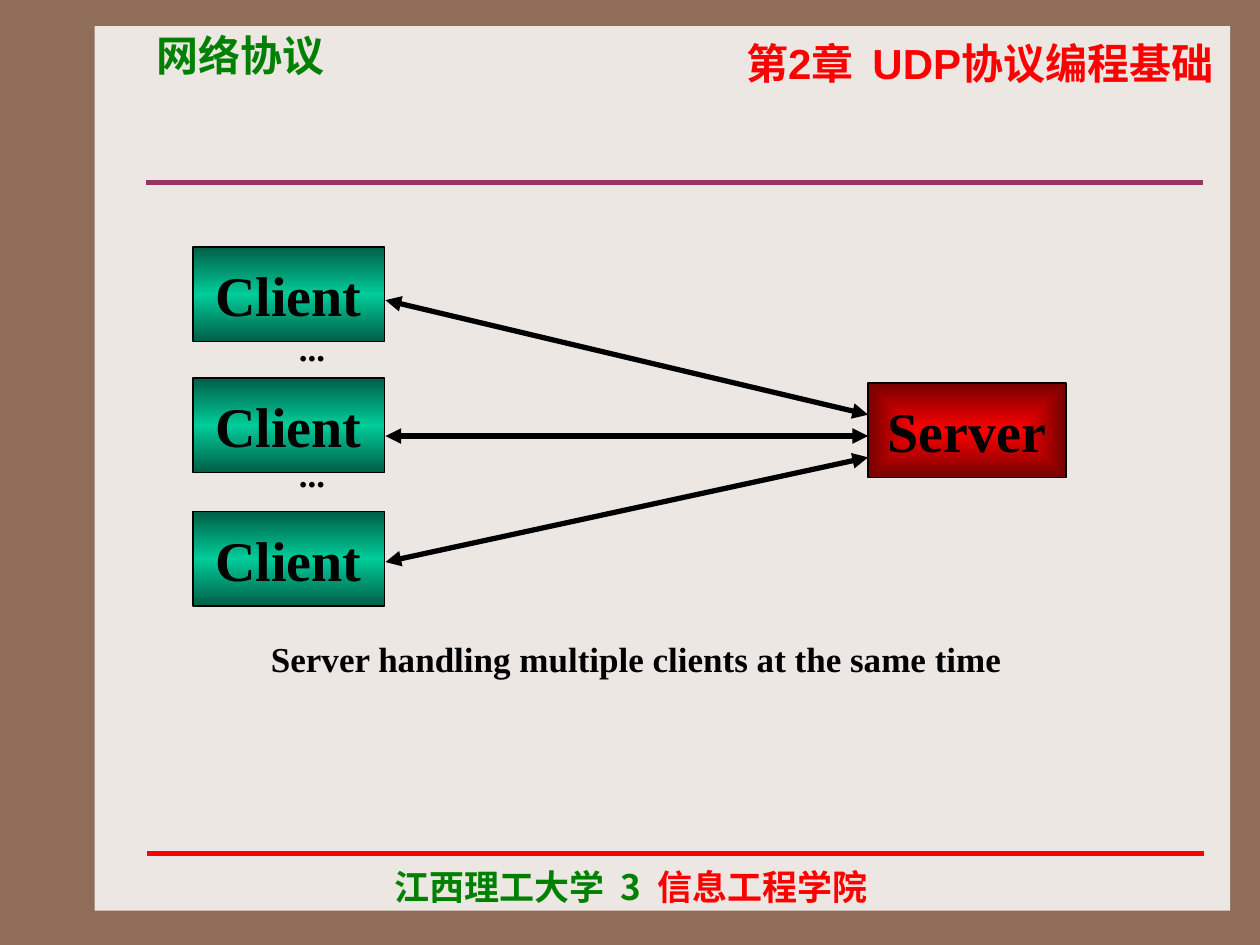
from collections import namedtuple
from dataclasses import dataclass

from pptx import Presentation
from pptx import util as u
from pptx.dml.color import RGBColor
from pptx.enum import shapes, text
from pptx.oxml import parse_xml
from pptx.oxml.ns import nsdecls, qn

Box = namedtuple("Box", "left top width height")


@dataclass(frozen=True)
class Theme:
    backdrop: str = "906D58"
    panel: str = "EDE7E3"
    green: str = "008000"
    red: str = "FF0000"
    plum: str = "993366"
    ink: str = "000000"
    client_edge: str = "005E46"
    client_core: str = "00CC99"
    server_edge: str = "750000"
    latin: str = "Arial"
    chinese: str = "Noto Sans CJK SC"
    serif: str = "Times New Roman"
    heading: int = 24
    node: int = 32
    label: int = 20
    rule: int = 3
    outline: float = 0.75


THEME = Theme()
PANEL = Box(1.91, 0.53, 22.89, 17.83)
DIAGRAM = Box(3.89, 4.98, 17.6, 7.24)


def rgb(value):
    return RGBColor.from_string(value)


def inside(region, left, top, width, height):
    return [u.Cm(v) for v in (region.left + left, region.top + top, width, height)]


def write(shape, spans, size, font, align=text.PP_ALIGN.LEFT, before=0):
    para = shape.text_frame.paragraphs[0]
    para.alignment = align
    para.space_before = u.Pt(before)
    para.font.size = u.Pt(size)
    para.font.name = font
    para.font.bold = True
    for words, color in spans:
        span = para.add_run()
        span.text = words
        span.font.color.rgb = rgb(color)
        span._r.get_or_add_rPr().append(
            parse_xml(f'<a:ea {nsdecls("a")} typeface="{THEME.chinese}"/>'))


def add_label(page, place, spans, size, font, **layout):
    label = page.shapes.add_textbox(*place)
    label.text_frame.word_wrap = True
    write(label, spans, size, font, **layout)


def add_line(page, region, start, end, color, arrows=False):
    x1, y1, x2, y2 = [u.Cm(v) for v in (
        region.left + start[0], region.top + start[1],
        region.left + end[0], region.top + end[1])]
    line = page.shapes.add_connector(shapes.MSO_CONNECTOR.STRAIGHT, x1, y1, x2, y2)
    line.line.color.rgb = rgb(color)
    line.line.width = u.Pt(THEME.rule)
    if arrows:
        for end_name in ("headEnd", "tailEnd"):
            line.line._get_or_add_ln().append(
                parse_xml(f'<a:{end_name} {nsdecls("a")} type="triangle"/>'))
    line._element.spPr.append(parse_xml(f'<a:effectLst {nsdecls("a")}/>'))


def add_node(page, place, name, stops, direction):
    node = page.shapes.add_shape(shapes.MSO_SHAPE.RECTANGLE, *place)
    node.shadow.inherit = False
    node.line.color.rgb = rgb(THEME.ink)
    node.line.width = u.Pt(THEME.outline)
    node.fill.background()
    colors = "".join(f'<a:gs pos="{pos * 1000}"><a:srgbClr val="{color}"/></a:gs>'
                     for pos, color in stops)
    gradient = parse_xml(f'<a:gradFill {nsdecls("a")} rotWithShape="1">'
                         f'<a:gsLst>{colors}</a:gsLst>{direction}</a:gradFill>')
    properties = node._element.spPr
    properties.replace(properties.find(qn("a:noFill")), gradient)
    node.text_frame.word_wrap = False
    node.text_frame.vertical_anchor = text.MSO_ANCHOR.MIDDLE
    write(node, [(name, THEME.ink)], THEME.node, THEME.serif, text.PP_ALIGN.CENTER)


def add_frame(page, region):
    page.background.fill.solid()
    page.background.fill.fore_color.rgb = rgb(THEME.backdrop)
    panel = page.shapes.add_shape(shapes.MSO_SHAPE.RECTANGLE, *inside(region, 0, 0, *region[2:]))
    panel.shadow.inherit = False
    panel.fill.solid()
    panel.fill.fore_color.rgb = rgb(THEME.panel)
    panel.line.fill.background()
    page.shapes._spTree.insert(2, panel._element)


def add_header(page, region):
    title = page.shapes.title
    title.left, title.top, title.width, title.height = inside(region, 10.99, 0.1, 11.81, 1.27)
    title.text_frame.auto_size = text.MSO_AUTO_SIZE.NONE
    title.text_frame.vertical_anchor = text.MSO_ANCHOR.TOP
    write(title, [("第2章  UDP协议编程基础", THEME.red)], THEME.heading, THEME.latin,
          text.PP_ALIGN.RIGHT)
    add_label(page, inside(region, 0.99, -0.05, 6.6, 1.27), [("网络协议", THEME.green)],
              THEME.heading, THEME.latin)
    add_line(page, region, (1.04, 3.15), (22.35, 3.15), THEME.plum)


def add_footer(page, region):
    add_line(page, region, (1.06, 16.67), (22.37, 16.67), THEME.red)
    add_label(page, inside(region, 5.79, 16.79, 11.2, 2.13),
              [("江西理工大学  3  ", THEME.green), ("信息工程学院", THEME.red)],
              THEME.label, THEME.chinese)


def add_diagram(page, region):
    client_stops = [(0, THEME.client_edge), (50, THEME.client_core), (100, THEME.client_edge)]
    for top in (0, 2.64, 5.33):
        add_node(page, inside(region, 0, top, 3.86, 1.91), "Client", client_stops,
                 '<a:lin ang="5400000" scaled="1"/>')
    add_node(page, inside(region, 13.61, 2.74, 3.99, 1.91), "Server",
             [(0, THEME.red), (100, THEME.server_edge)],
             '<a:path path="rect"><a:fillToRect l="50000" t="50000" r="50000" b="50000"/></a:path>')
    for client_y, server_y in ((1.07, 3.38), (3.81, 3.81), (6.35, 4.24)):
        add_line(page, region, (3.88, client_y), (13.61, server_y), THEME.ink, arrows=True)
    captions = [((1.55, 1.47, 1.7, 1.12), "..."), ((1.55, 4.01, 1.7, 1.12), "..."),
                ((-0.99, 7.75, 19.86, 1.12), "Server handling multiple clients at the same time")]
    for place, words in captions:
        add_label(page, inside(region, *place), [(words, THEME.ink)], THEME.label, THEME.serif,
                  align=text.PP_ALIGN.CENTER, before=12.5)


def main():
    deck = Presentation()
    deck.slide_width, deck.slide_height = u.Cm(25.4), u.Cm(19.05)
    page = deck.slides.add_slide(deck.slide_layouts.get_by_name("Title Only"))
    add_frame(page, PANEL)
    add_header(page, PANEL)
    add_footer(page, PANEL)
    add_diagram(page, DIAGRAM)
    deck.save("out.pptx")


if __name__ == "__main__":
    main()
